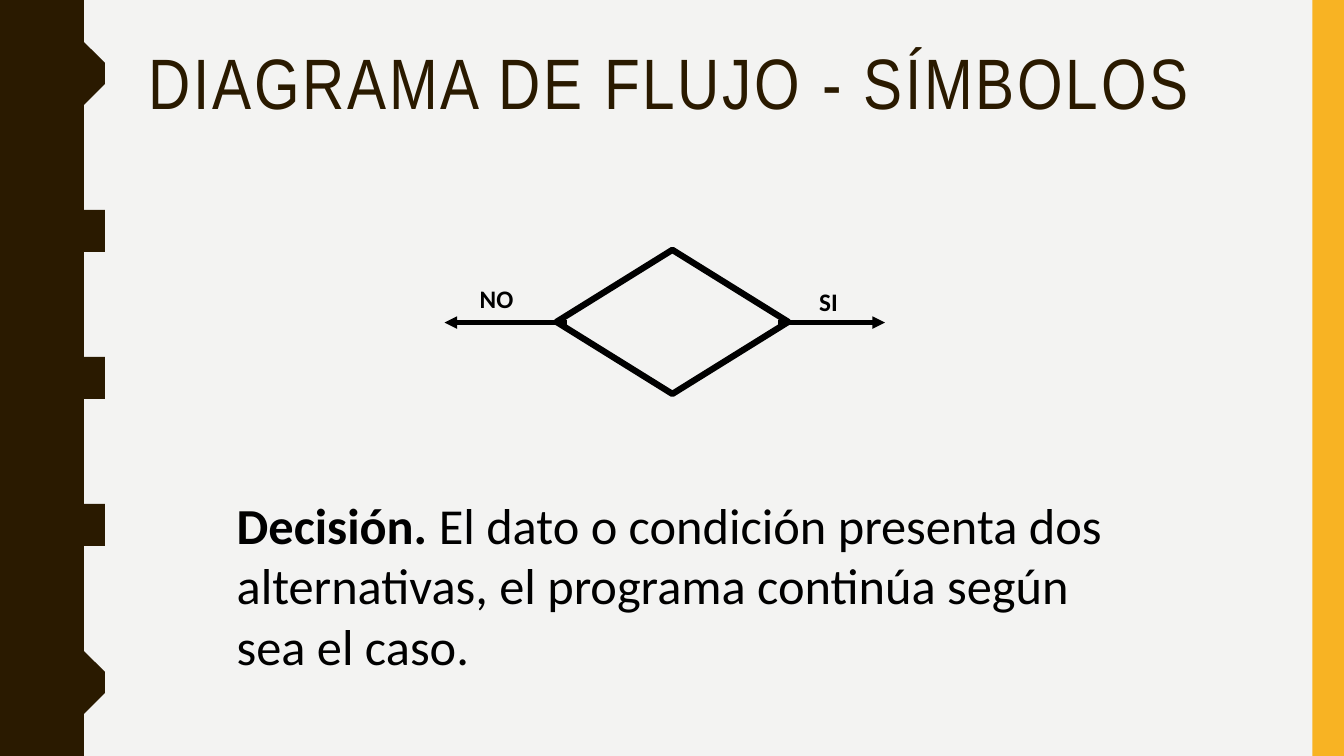
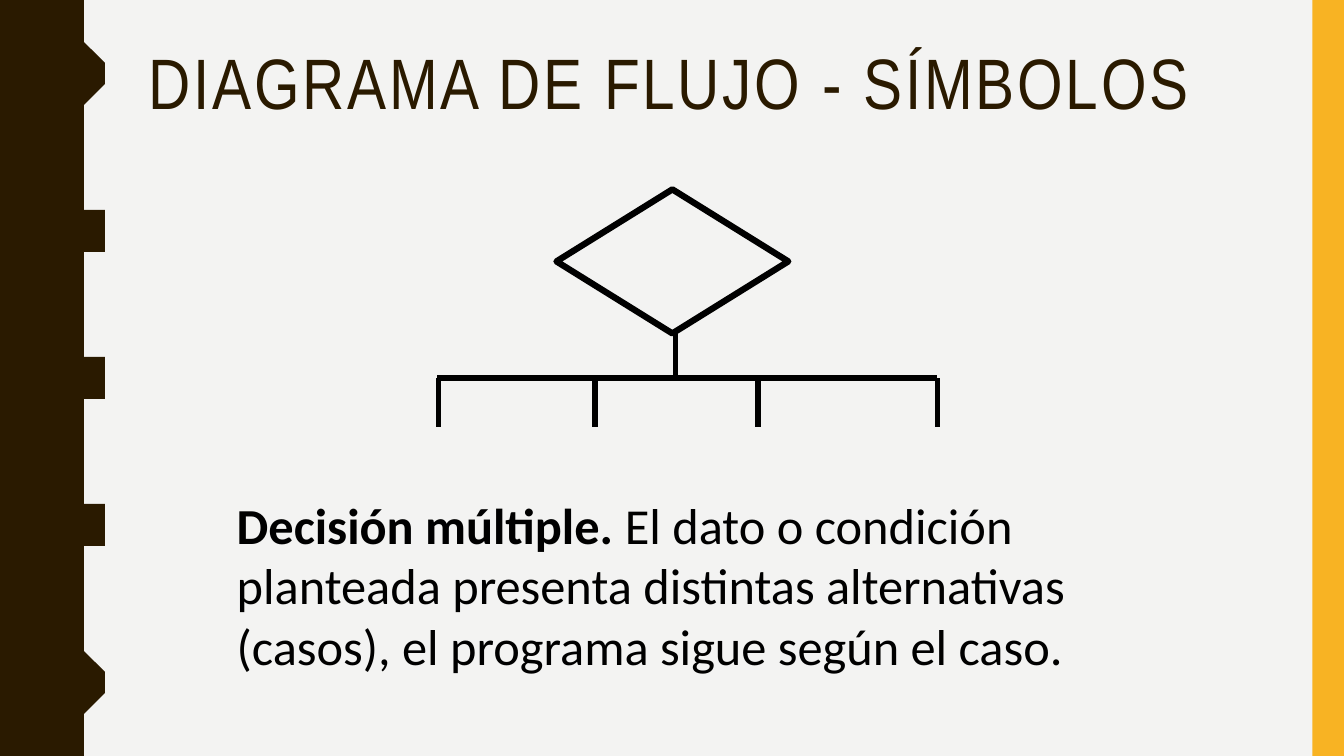
"""Build two slides on the decision symbols of a flowchart."""
import math
from dataclasses import dataclass

from lxml import etree
from pptx import Presentation
from pptx import util as u
from pptx.dml import color
from pptx.enum import shapes, text
from pptx.oxml import ns


@dataclass(frozen=True)
class Theme:
    paper: color.RGBColor = color.RGBColor.from_string("F3F3F2")
    brown: color.RGBColor = color.RGBColor.from_string("2A1A00")
    amber: color.RGBColor = color.RGBColor.from_string("F8B323")
    ink: color.RGBColor = color.RGBColor.from_string("000000")
    title_font: str = "Arial Narrow"
    body_font: str = "Calibri"
    title_size: float = 51
    body_size: float = 36
    label_size: float = 18
    outline: float = 4.5
    arrow: float = 3
    branch: float = 4


THEME = Theme()
COLUMNS, ROWS = 64, 36
CELL = u.Inches(7.5) // ROWS


def write(frame, runs, font, size, ink):
    """Add (words, bold) runs to the frame's first paragraph."""
    para = frame.paragraphs[0]
    para.alignment = text.PP_ALIGN.LEFT
    for words, bold in runs:
        span = para.add_run()
        span.text = words
        span.font.name = font
        span.font.size = u.Pt(size)
        span.font.bold = bold
        span.font.color.rgb = ink
    return para


def draw_line(page, start, end, width, arrow=False):
    """Draw a straight line between two grid points."""
    points = [round(value * CELL) for value in (*start, *end)]
    line = page.shapes.add_connector(shapes.MSO_CONNECTOR.STRAIGHT, *points)
    line.line.color.rgb = THEME.ink
    line.line.width = u.Pt(width)
    properties = line.element.spPr
    if arrow:
        stroke = properties.find(ns.qn("a:ln"))
        etree.SubElement(stroke, ns.qn("a:tailEnd"), type="triangle")
    etree.SubElement(properties, ns.qn("a:effectLst"))


deck = Presentation()
deck.slide_width, deck.slide_height = COLUMNS * CELL, ROWS * CELL
layout = deck.slide_layouts.get_by_name("Title Only")
layout.background.fill.solid()
layout.background.fill.fore_color.rgb = THEME.paper

TEXTS = [
    (11.9, [("Decisión. ", True),
            ("El dato o condición presenta dos alternativas, "
             "el programa continúa según sea el caso.", False)]),
    (9.02, [("Decisión múltiple.", True),
            (" El dato o condición planteada presenta distintas alternativas "
             "(casos), el programa sigue según el caso.", False)]),
]
pages = [deck.slides.add_slide(layout) for _ in TEXTS]

WAVES, STEPS = 5, 24
MIDDLE, SWING = 4.2, 0.46
edge = [(MIDDLE - SWING * math.cos(math.tau * step / STEPS), ROWS * step / (WAVES * STEPS))
        for step in range(WAVES * STEPS + 1)]
outline = pages[0].shapes.build_freeform(0, 0, scale=CELL)
outline.add_line_segments([*edge, (0, ROWS)], close=True)
wave = outline.convert_to_shape()
bar = pages[0].shapes.add_shape(
    shapes.MSO_SHAPE.RECTANGLE, round(62.5 * CELL), 0, round(1.5 * CELL), ROWS * CELL)
for number, (band, fill) in enumerate([(wave, THEME.brown), (bar, THEME.amber)]):
    band.shadow.inherit = False
    band.fill.solid()
    band.fill.fore_color.rgb = fill
    band.line.fill.background()
    band.element.nvSpPr.cNvPr.set("id", str(100 + number))
    layout.shapes.element.insert(2 + number, band.element)

for page, (top, runs) in zip(pages, TEXTS):
    title = page.shapes.title
    title.left, title.top, title.width, title.height = (
        round(value * CELL) for value in (6.58, 2.02, 53.42, 7.82))
    title.text_frame.vertical_anchor = text.MSO_ANCHOR.TOP
    title.text_frame.auto_size = text.MSO_AUTO_SIZE.NONE
    heading = write(title.text_frame, [("DIAGRAMA DE FLUJO - SÍMBOLOS", False)],
                    THEME.title_font, THEME.title_size, THEME.brown)
    heading.line_spacing = 0.9
    for properties in title.element.iter(ns.qn("a:rPr")):
        properties.set("spc", "200")

    box = page.shapes.add_textbox(*(round(value * CELL) for value in (10.8, 23.28, 42.38, 9.22)))
    box.text_frame.word_wrap = True
    box.text_frame.auto_size = text.MSO_AUTO_SIZE.SHAPE_TO_FIT_TEXT
    write(box.text_frame, runs, THEME.body_font, THEME.body_size, THEME.ink)

    decision = page.shapes.add_shape(
        shapes.MSO_SHAPE.FLOWCHART_DECISION,
        *(round(value * CELL) for value in (26.5, top, 11.04, 6.86)))
    decision.shadow.inherit = False
    decision.fill.background()
    decision.line.color.rgb = THEME.ink
    decision.line.width = u.Pt(THEME.outline)

simple, multiple = pages

ARROW_ROW = 15.36
for start, end, answer, place in [
    (37.06, 42.14, "SI", (38.54, 13.39, 2.11, 1.92)),
    (27.02, 21.17, "NO", (22.37, 13.25, 3.07, 1.92)),
]:
    draw_line(simple, (start, ARROW_ROW), (end, ARROW_ROW), THEME.arrow, arrow=True)
    label = simple.shapes.add_textbox(*(round(value * CELL) for value in place))
    label.text_frame.word_wrap = False
    label.text_frame.auto_size = text.MSO_AUTO_SIZE.SHAPE_TO_FIT_TEXT
    write(label.text_frame, [(answer, True)], THEME.body_font, THEME.label_size, THEME.ink)

BRANCH_ROW, DROP = 18, 2.35
draw_line(multiple, (20.83, BRANCH_ROW), (44.64, BRANCH_ROW), THEME.branch)
draw_line(multiple, (32.16, BRANCH_ROW - DROP), (32.16, BRANCH_ROW), THEME.branch)
for column in (20.88, 28.32, 36.1, 44.64):
    draw_line(multiple, (column, BRANCH_ROW), (column, BRANCH_ROW + DROP), THEME.branch)

deck.save("out.pptx")
